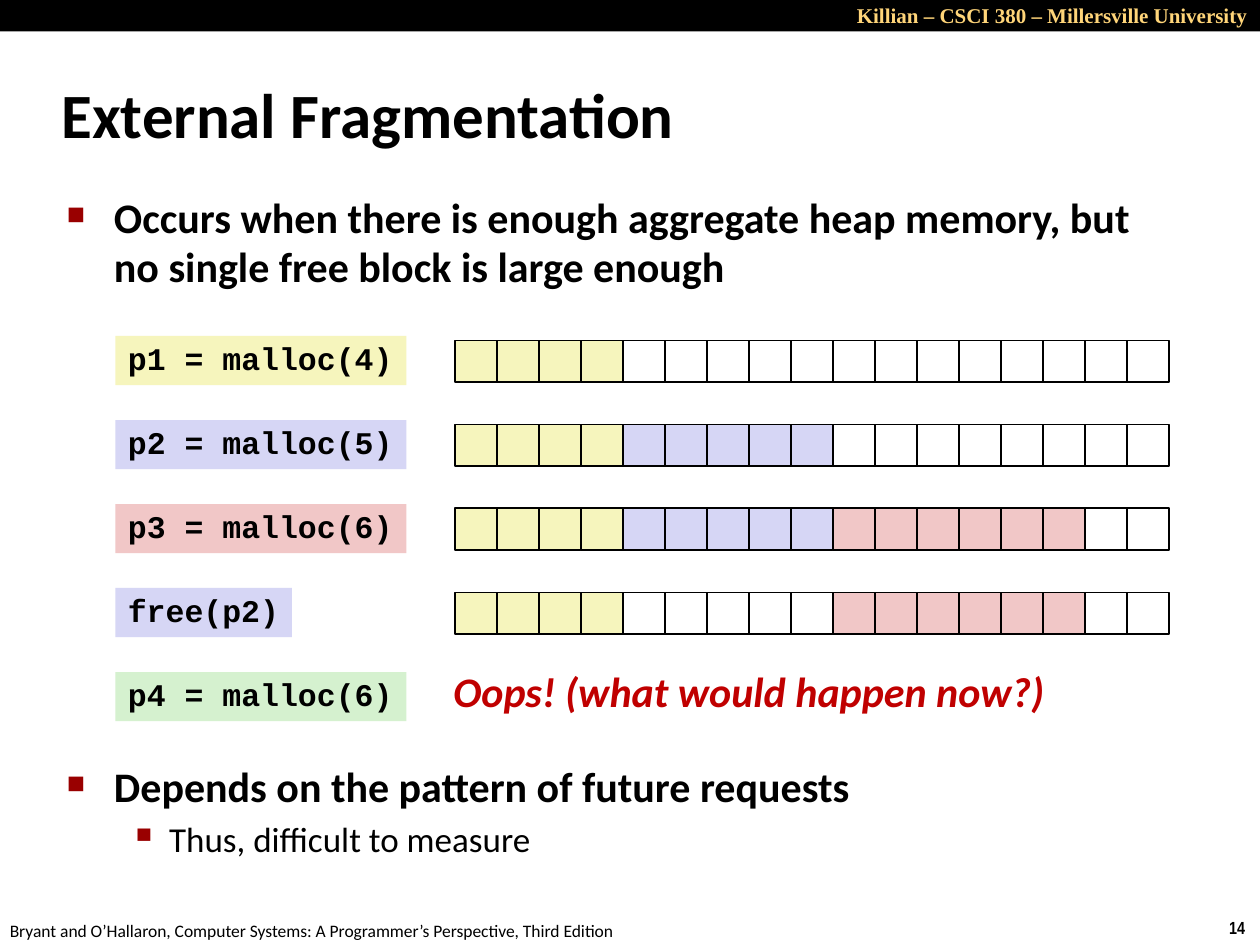
"""Build the slide on external fragmentation of the heap."""
from lxml import etree
from pptx import Presentation
from pptx import util as u
from pptx.dml.color import RGBColor
from pptx.enum import shapes, text
from pptx.oxml import ns

BLACK = RGBColor(0, 0, 0)
WHITE = RGBColor(0xFF, 0xFF, 0xFF)
GOLD = RGBColor(0xFF, 0xD5, 0x79)
YELLOW = RGBColor(0xF6, 0xF5, 0xBD)
BLUE = RGBColor(0xD6, 0xD6, 0xF5)
PINK = RGBColor(0xF1, 0xC7, 0xC7)
GREEN = RGBColor(0xD5, 0xF1, 0xCF)
RED = RGBColor(0xC0, 0, 0)
BULLET_RED = RGBColor(0x99, 0, 0)

HEAP_WORDS = 17
WORD_SIZE = 24
HEAP_LEFT, HEAP_TOP = 260, 194.5
CALL_LEFT, CALL_TOP, CALL_HEIGHT = 66, 192, 28.1
ROW_STEP = 48

CALLS = [
    ("p1 = malloc(4)", 166.3, YELLOW),
    ("p2 = malloc(5)", 166.3, BLUE),
    ("p3 = malloc(6)", 166.3, PINK),
    ("free(p2)", 100.8, BLUE),
    ("p4 = malloc(6)", 166.3, GREEN),
]
HEAP_STATES = [
    [(YELLOW, 4)],
    [(YELLOW, 4), (BLUE, 5)],
    [(YELLOW, 4), (BLUE, 5), (PINK, 6)],
    [(YELLOW, 4), (WHITE, 5), (PINK, 6)],
]


def style(paragraph, size, font="Calibri", color=BLACK, bold=False, italic=False):
    """Format every run of a paragraph."""
    for run in paragraph.runs:
        run.font.size = u.Pt(size)
        run.font.name = font
        run.font.color.rgb = color
        run.font.bold = bold
        run.font.italic = italic


def add_box(container, left, top, width, height, fill, outlined=False):
    """Add a flat rectangle, with a thin black outline if asked."""
    box = container.add_shape(shapes.MSO_SHAPE.RECTANGLE, u.Pt(left), u.Pt(top),
                              u.Pt(width), u.Pt(height))
    box.shadow.inherit = False
    box.fill.solid()
    box.fill.fore_color.rgb = fill
    if outlined:
        box.line.color.rgb = BLACK
        box.line.width = u.Pt(1)
    else:
        box.line.fill.background()
    return box


def add_text(slide, left, top, width, height, words, wrap=False, **look):
    """Add a one-paragraph text box and return its text frame."""
    frame = slide.shapes.add_textbox(u.Pt(left), u.Pt(top), u.Pt(width),
                                     u.Pt(height)).text_frame
    frame.word_wrap = wrap
    frame.text = words
    style(frame.paragraphs[0], **look)
    return frame


def set_indent(paragraph, margin, hanging):
    """Give a paragraph a hanging indent and return its properties."""
    properties = paragraph._p.get_or_add_pPr()
    properties.set("marL", str(u.Pt(margin)))
    properties.set("indent", str(-u.Pt(hanging)))
    return properties


def set_bullet(paragraph, margin, hanging, symbol, percent):
    """Give a paragraph a coloured bullet and the list line spacing."""
    properties = set_indent(paragraph, margin, hanging)
    color = etree.SubElement(properties, ns.qn("a:buClr"))
    etree.SubElement(color, ns.qn("a:srgbClr"), val=str(BULLET_RED))
    etree.SubElement(properties, ns.qn("a:buSzPct"), val=str(percent * 1000))
    etree.SubElement(properties, ns.qn("a:buChar"), char=symbol)
    paragraph.line_spacing = 0.98


def add_point(slide, top, height, words, detail=None):
    """Add a main bullet with an optional bullet below it."""
    frame = add_text(slide, 31, top, 622, height, words, wrap=True, size=24, bold=True)
    set_bullet(frame.paragraphs[0], 27, 27, "■", 60)
    if detail:
        below = frame.add_paragraph()
        below.text = detail
        set_bullet(below, 58.5, 22.5, "▪", 110)
        below.space_before = u.Pt(4)
        style(below, 20)


def add_call(slide, row, code, width, fill):
    """Add the coloured label of one allocator call."""
    frame = add_box(slide.shapes, CALL_LEFT, CALL_TOP + row * ROW_STEP, width,
                    CALL_HEIGHT, fill).text_frame
    frame.word_wrap = False
    frame.vertical_anchor = text.MSO_ANCHOR.TOP
    frame.text = code
    line = frame.paragraphs[0]
    line.alignment = text.PP_ALIGN.LEFT
    line.line_spacing = 0.94
    style(line, 18, "Courier New", bold=True)


def add_heap(slide, row, blocks):
    """Add one row of heap words, with free words after the last block."""
    words = [color for color, count in blocks for _ in range(count)]
    words += [WHITE] * (HEAP_WORDS - len(words))
    heap = slide.shapes.add_group_shape()
    for column, color in enumerate(words):
        add_box(heap.shapes, HEAP_LEFT + column * WORD_SIZE, HEAP_TOP + row * ROW_STEP,
                WORD_SIZE, WORD_SIZE, color, outlined=True)


def add_frame(slide):
    """Add the header band, the footer and the page number."""
    add_box(slide.shapes, 0, 0, 720, 18, BLACK)
    course = add_text(slide, 437.8, -2, 282.2, 21.8,
                      "Killian – CSCI 380 – Millersville University", wrap=True,
                      size=12, font="Times New Roman", color=GOLD, bold=True)
    course.paragraphs[0].alignment = text.PP_ALIGN.RIGHT
    add_text(slide, 695.3, 520.6, 24.7, 19.4, "14", size=10, font="Arial Narrow", bold=True)
    add_text(slide, -1.5, 522, 365.8, 19.4,
             "Bryant and O’Hallaron, Computer Systems: A Programmer’s Perspective, Third Edition",
             size=10)


def main():
    """Build and save the slide."""
    deck = Presentation()
    deck.slide_width, deck.slide_height = u.Pt(720), u.Pt(540)
    slide = deck.slides.add_slide(deck.slide_layouts[6])
    add_frame(slide)
    title = add_text(slide, 28, 34.5, 598, 60, "External Fragmentation", wrap=True,
                     size=36, bold=True)
    title.vertical_anchor = text.MSO_ANCHOR.MIDDLE
    set_indent(title.paragraphs[0], 9, 9)
    add_point(slide, 107.3, 66, "Occurs when there is enough aggregate heap memory, "
              "but no single free block is large enough")
    add_point(slide, 432.4, 66, "Depends on the pattern of future requests",
              "Thus, difficult to measure")
    for row, blocks in enumerate(HEAP_STATES):
        add_heap(slide, row, blocks)
    for row, call in enumerate(CALLS):
        add_call(slide, row, *call)
    add_text(slide, 252, 377, 355, 36, "Oops! (what would happen now?)",
             size=24, color=RED, bold=True, italic=True)
    deck.save("out.pptx")


if __name__ == "__main__":
    main()
